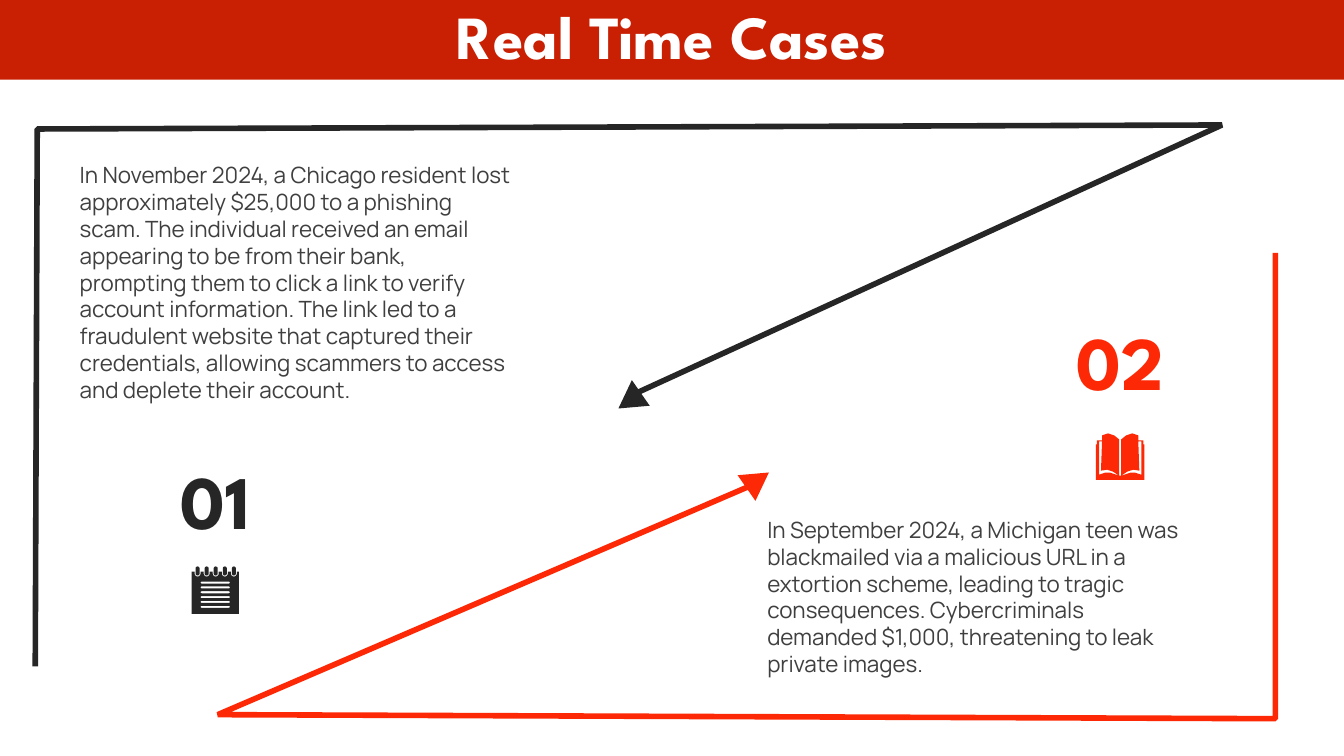
import math

import lxml.etree
import pptx
import pptx.dml.color
import pptx.enum.shapes
import pptx.enum.text
import pptx.oxml.ns
import pptx.util

Inches = pptx.util.Inches
Align = pptx.enum.text.PP_ALIGN
Anchor = pptx.enum.text.MSO_ANCHOR

COLORS = {
    "banner": "C92004",
    "title": "FFFFFF",
    "dark": "262626",
    "red": "FD2906",
    "body": "3F3F3F",
}
HEADING_FONT = "League Spartan"
BODY_FONT = "Manrope"

CHICAGO_CASE = (
    "In November 2024, a Chicago resident lost approximately $25,000 to a phishing scam. "
    "The individual received an email appearing to be from their bank, prompting them to "
    "click a link to verify account information. The link led to a fraudulent website that "
    "captured their credentials, allowing scammers to access and deplete their account."
)
MICHIGAN_CASE = (
    "In September 2024, a Michigan teen was blackmailed via a malicious URL in a extortion "
    "scheme, leading to tragic consequences. Cybercriminals demanded $1,000, threatening to "
    "leak private images."
)


class CaseSlide:
    """Draws the elements of one slide in a shared style."""

    def __init__(self, deck):
        self.slide = deck.slides.add_slide(deck.slide_layouts[6])
        self.shapes = self.slide.shapes

    def color(self, name):
        return pptx.dml.color.RGBColor.from_string(COLORS[name])

    def fill(self, shape, color):
        shape.shadow.inherit = False
        shape.fill.solid()
        shape.fill.fore_color.rgb = self.color(color)
        shape.line.fill.background()

    def set_text(self, shape, text, size, font, color, bold=False, align=Align.LEFT,
                 anchor=Anchor.TOP):
        frame = shape.text_frame
        frame.word_wrap = True
        frame.vertical_anchor = anchor
        frame.margin_left = frame.margin_right = Inches(0.05)
        frame.margin_top = frame.margin_bottom = Inches(0.05)
        frame.text = text
        para = frame.paragraphs[0]
        para.alignment = align
        span = para.runs[0]
        span.font.size = pptx.util.Pt(size)
        span.font.name = font
        span.font.bold = bold
        span.font.color.rgb = self.color(color)
        return para

    def banner(self, text, height):
        bar = self.shapes.add_shape(pptx.enum.shapes.MSO_SHAPE.RECTANGLE, 0, 0,
                                    Inches(13.33), Inches(height))
        self.fill(bar, "banner")
        para = self.set_text(bar, text, 43.7, HEADING_FONT, "title", True, Align.CENTER,
                             Anchor.MIDDLE)
        para.line_spacing = 0.9

    def text_box(self, left, top, width, height, *content, **style):
        box = self.shapes.add_textbox(Inches(left), Inches(top), Inches(width), Inches(height))
        self.set_text(box, *content, **style)
        box.text_frame.auto_size = pptx.enum.text.MSO_AUTO_SIZE.SHAPE_TO_FIT_TEXT

    def number(self, left, top, text, color):
        self.text_box(left, top, 1.12, 0.96, text, 54, HEADING_FONT, color, bold=True,
                      align=Align.CENTER, anchor=Anchor.MIDDLE)

    def story(self, left, top, width, height, text):
        self.text_box(left, top, width, height, text, 16, BODY_FONT, "body")

    def outline(self, contours, close=True):
        contours = [[(Inches(x), Inches(y)) for x, y in contour] for contour in contours]
        builder = self.shapes.build_freeform(*contours[0][0], scale=1.0)
        for index, contour in enumerate(contours):
            if index:
                builder.move_to(*contour[0])
            builder.add_line_segments(contour[1:], close=close)
        return builder.convert_to_shape()

    def frame_arrow(self, points, color, head_left, head_top, rotation):
        bracket = self.outline([points], close=False)
        bracket.shadow.inherit = False
        bracket.fill.background()
        bracket.line.color.rgb = self.color(color)
        bracket.line.width = pptx.util.Pt(4)
        line = bracket.line.fill._xPr
        lxml.etree.SubElement(line, pptx.oxml.ns.qn("a:bevel"))
        head = self.shapes.add_shape(pptx.enum.shapes.MSO_SHAPE.ISOSCELES_TRIANGLE,
                                     Inches(head_left), Inches(head_top),
                                     Inches(0.31), Inches(0.27))
        head.rotation = rotation
        self.fill(head, color)

    def icon(self, contours, color):
        self.fill(self.outline(contours), color)


def arc(center_x, center_y, radius, start, end, steps=8):
    angles = [math.radians(start + (end - start) * step / steps) for step in range(steps + 1)]
    return [(center_x + radius * math.cos(a), center_y + radius * math.sin(a)) for a in angles]


def notepad_contours():
    rings = [1.96 + 0.09 * index for index in range(5)]
    page = [(1.9, 5.67)]
    for x in rings:
        page += [(x - 0.03, 5.67), *arc(x, 5.69, 0.03, 180, 0), (x + 0.03, 5.67)]
    page += [(2.37, 5.67), (2.37, 6.09), (1.9, 6.09)]
    rows = [5.78 + 0.24 * index / 5 for index in range(6)]
    lines = [arc(2, y, 0.01, 270, 90) + arc(2.27, y, 0.01, 90, -90) for y in rows]
    loops = [arc(x, 5.64, 0.02, 180, 360) + arc(x, 5.69, 0.02, 0, 180) for x in rings]
    return [page, *lines, *loops]


def book_contours():
    def mirror(points):
        return [(22.22 - x, y) for x, y in reversed(points)]

    cover = [(10.87, 4.76), (10.87, 4.41), (10.88, 4.41), (10.88, 4.37), (10.93, 4.37),
             (10.93, 4.32), (10.99, 4.3), (11.05, 4.32), (11.1, 4.36), (11.1, 4.72)]
    gap = [(10.9, 4.38), (10.93, 4.38), (10.92, 4.67), (10.98, 4.66), (11.04, 4.68),
           (11.1, 4.72), (11.01, 4.69), (10.96, 4.69), (10.9, 4.71)]
    return [cover + mirror(cover), gap, mirror(gap)]


def main():
    deck = pptx.Presentation()
    deck.slide_width = Inches(13.33)
    deck.slide_height = Inches(7.5)
    page = CaseSlide(deck)
    page.banner("Real Time Cases", 0.79)
    page.frame_arrow([(0.35, 6.61), (0.37, 1.28), (12.12, 1.24), (6.29, 3.91)],
                     "dark", 6.09, 3.84, 235.2)
    page.frame_arrow([(12.65, 2.51), (12.65, 7.13), (2.16, 7.09), (7.42, 4.83)],
                     "red", 7.36, 4.63, 55.2)
    page.number(1.58, 4.47, "01", "dark")
    page.number(10.55, 3.09, "02", "red")
    page.story(0.74, 1.55, 4.39, 2.72, CHICAGO_CASE)
    page.story(7.56, 5.07, 4.35, 1.84, MICHIGAN_CASE)
    page.icon(notepad_contours(), "dark")
    page.icon(book_contours(), "red")
    deck.save("out.pptx")


if __name__ == "__main__":
    main()
